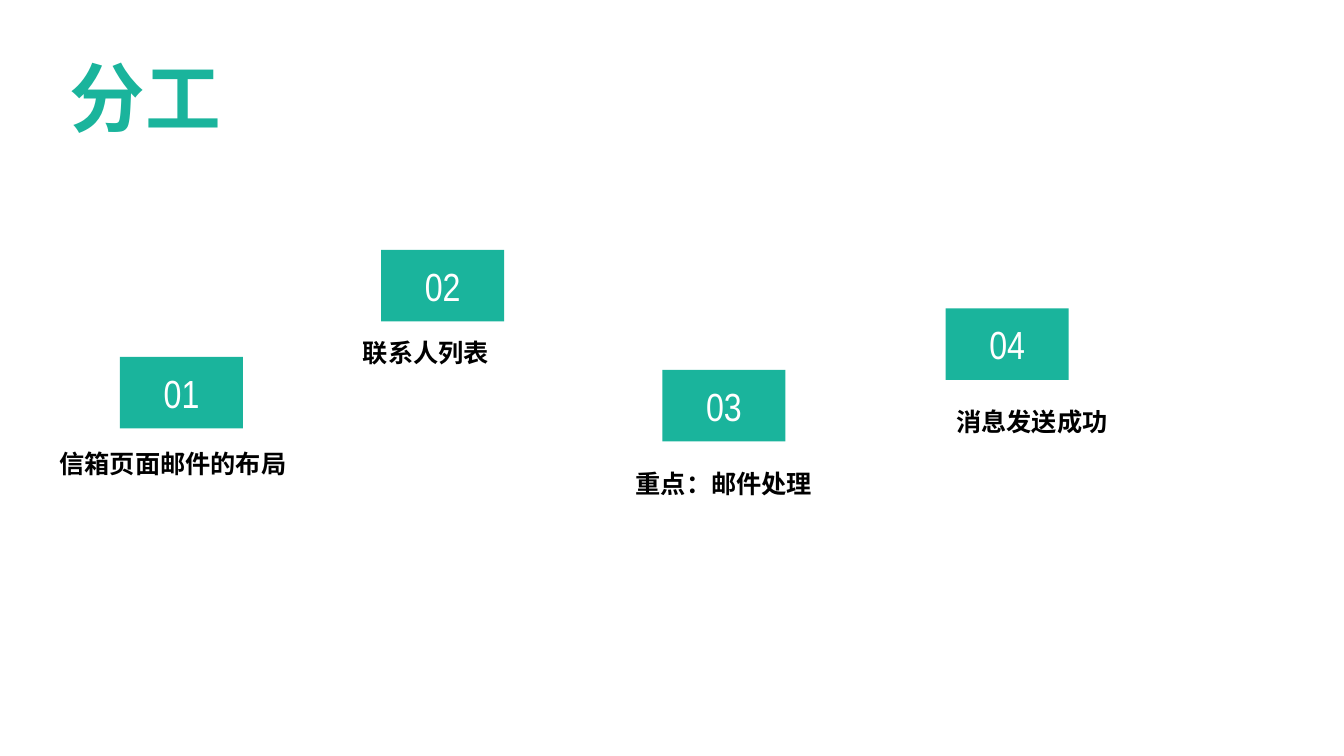
from dataclasses import dataclass
from lxml.etree import SubElement
from pptx import Presentation
from pptx.dml.color import RGBColor
from pptx.enum.shapes import MSO_SHAPE
from pptx.enum.text import MSO_ANCHOR, MSO_AUTO_SIZE, PP_ALIGN
from pptx.oxml.ns import qn
from pptx.util import Pt

PX = 9144  # 100 px to the inch


@dataclass(frozen=True)
class Theme:
    teal: RGBColor = RGBColor(0x1A, 0xB4, 0x9C)
    white: RGBColor = RGBColor(0xFF, 0xFF, 0xFF)
    black: RGBColor = RGBColor(0, 0, 0)
    title: int = 54
    number: int = 28
    label: int = 18
    sans: str = "Noto Sans CJK SC"
    narrow: str = "Arial Narrow"
    latin: str = "Arial"


THEME = Theme()


def emu(box):
    return [side * PX for side in box]


def write(frame, text, size, color, font, bold=False):
    """Put one centred run in a frame that does not wrap."""
    frame.word_wrap = False
    line = frame.paragraphs[0]
    line.alignment = PP_ALIGN.CENTER
    run = line.add_run()
    run.text = text
    run.font.size = Pt(size)
    run.font.bold = bold
    run.font.color.rgb = color
    run.font.name = font
    # East Asian glyphs take their own typeface
    SubElement(run.font._element, qn("a:ea")).set("typeface", THEME.sans)


def add_title(slide, box, text):
    frame = slide.shapes.add_textbox(*emu(box)).text_frame
    write(frame, text, THEME.title, THEME.teal, THEME.sans, True)
    frame.auto_size = MSO_AUTO_SIZE.SHAPE_TO_FIT_TEXT


def add_task(slide, box, number, text, offset, width, font=THEME.sans, foot=5):
    """Number tile in the box, with its label offset from the tile's corner."""
    # Tile
    tile = slide.shapes.add_shape(MSO_SHAPE.RECTANGLE, *emu(box))
    tile.shadow.inherit = False
    tile.fill.solid()
    tile.fill.fore_color.rgb = THEME.teal
    tile.line.fill.background()
    tile.text_frame.vertical_anchor = MSO_ANCHOR.MIDDLE
    write(tile.text_frame, number, THEME.number, THEME.white, THEME.narrow)

    # Label, with the full box width free for its one line
    left, top = box[0] + offset[0], box[1] + offset[1]
    label = slide.shapes.add_textbox(*emu((left, top, width, 42)))
    frame = label.text_frame
    frame.vertical_anchor = MSO_ANCHOR.BOTTOM
    frame.margin_left = frame.margin_right = 0
    frame.margin_bottom = foot * PX
    write(frame, text, THEME.label, THEME.black, font, True)


def main():
    deck = Presentation()
    deck.slide_width, deck.slide_height = emu((1333, 750))
    slide = deck.slides.add_slide(deck.slide_layouts[6])

    # Tasks: tile corner, label text, label offset and width, label style
    tasks = [
        ((119, 354), "信箱页面邮件的布局", (-63, 84), 231, {}),
        ((378, 248), "联系人列表", (-71, 87), 231, {"foot": 12}),
        ((657, 367), "重点：邮件处理", (-92, 91), 306, {}),
        ((938, 306), "消息发送成功", (-39, 90), 249, {"font": THEME.latin}),
    ]
    for count, (spot, text, offset, width, style) in enumerate(tasks, 1):
        add_task(slide, (*spot, 122, 71), f"{count:02}", text, offset, width, **style)

    # Heading
    add_title(slide, (59, 46, 170, 101), "分工")
    deck.save("out.pptx")


if __name__ == "__main__":
    main()
